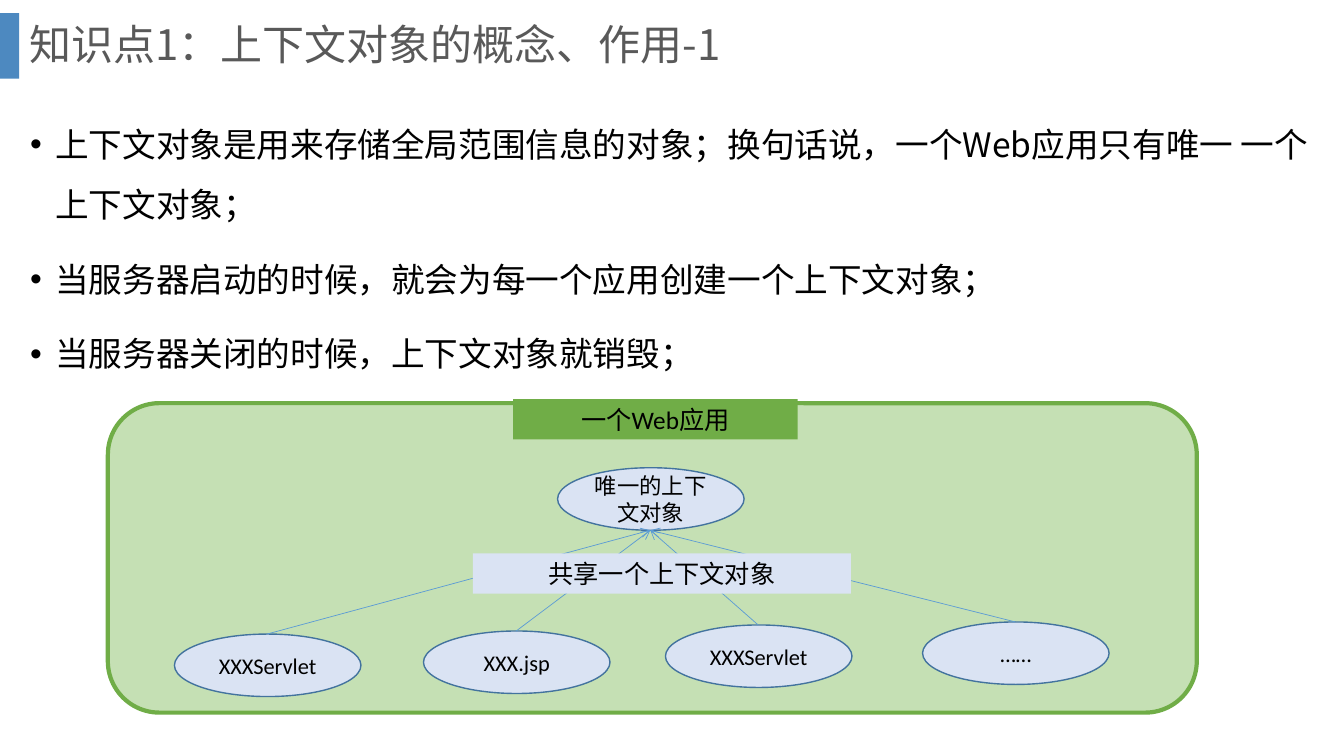
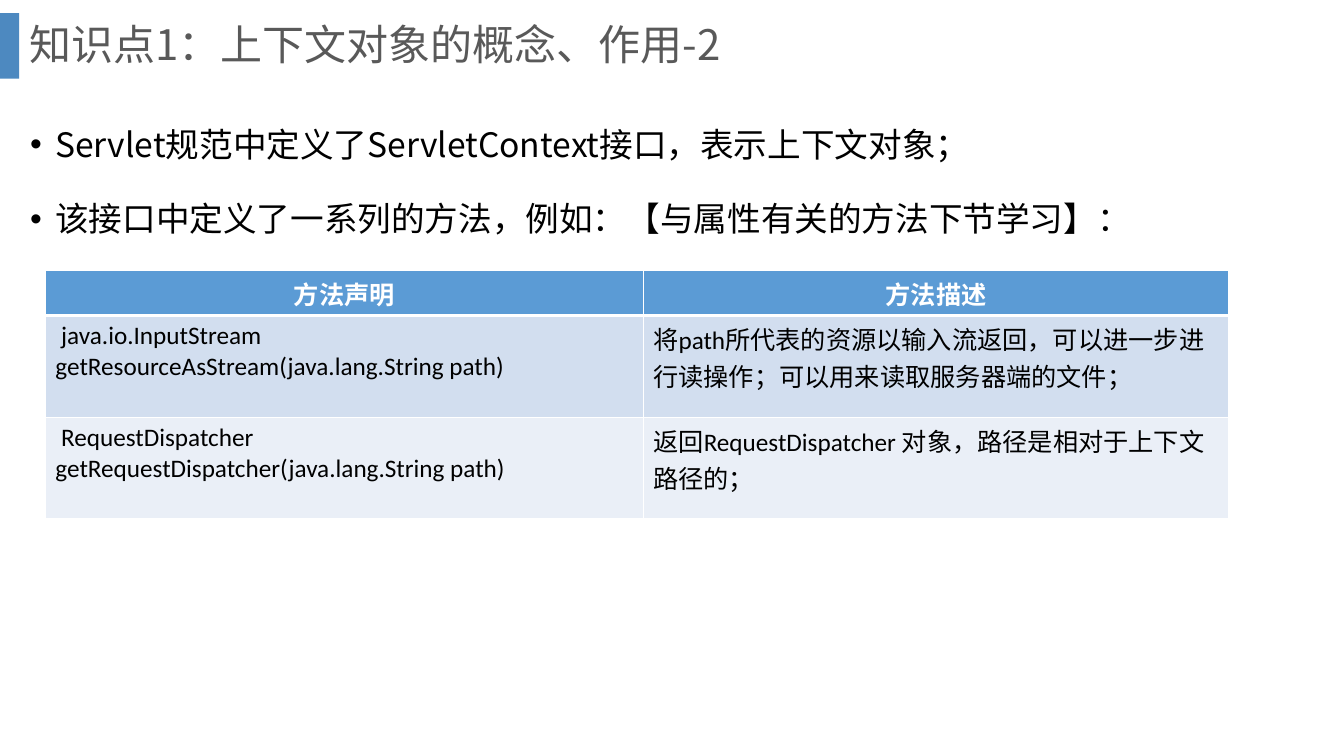
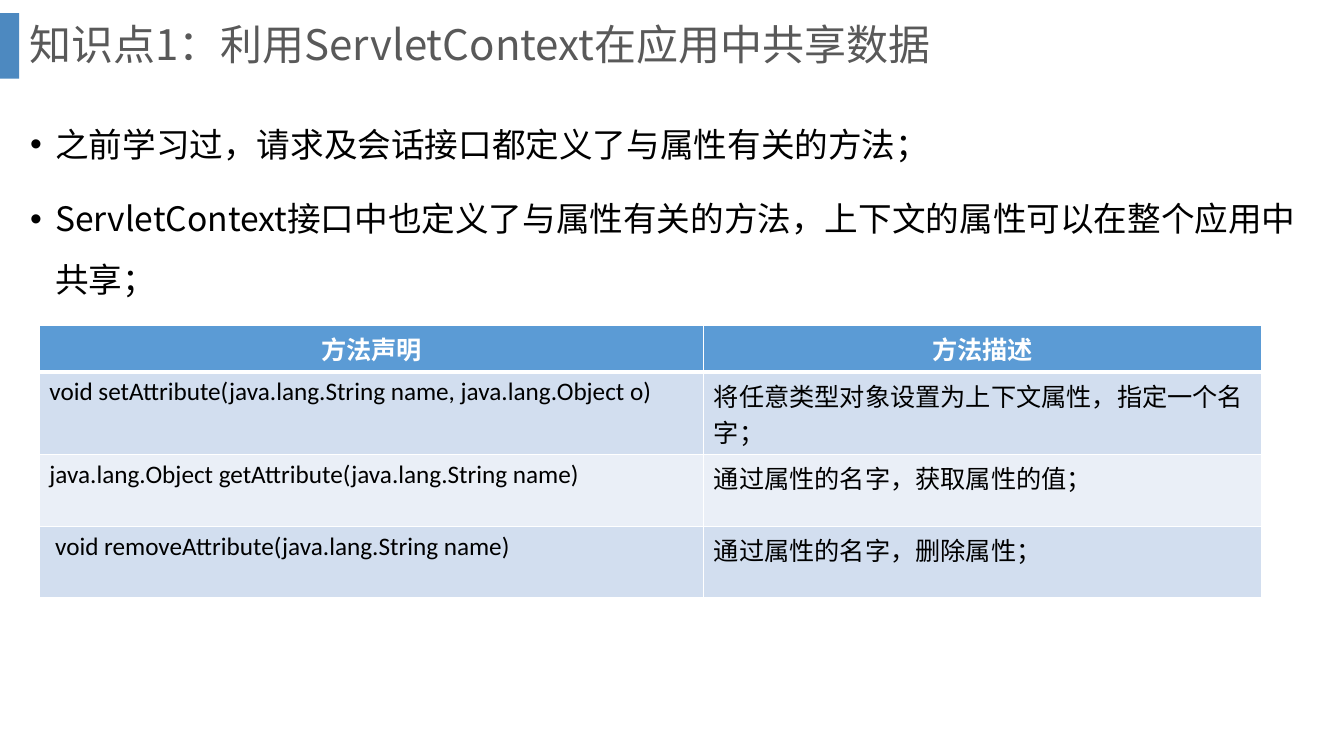
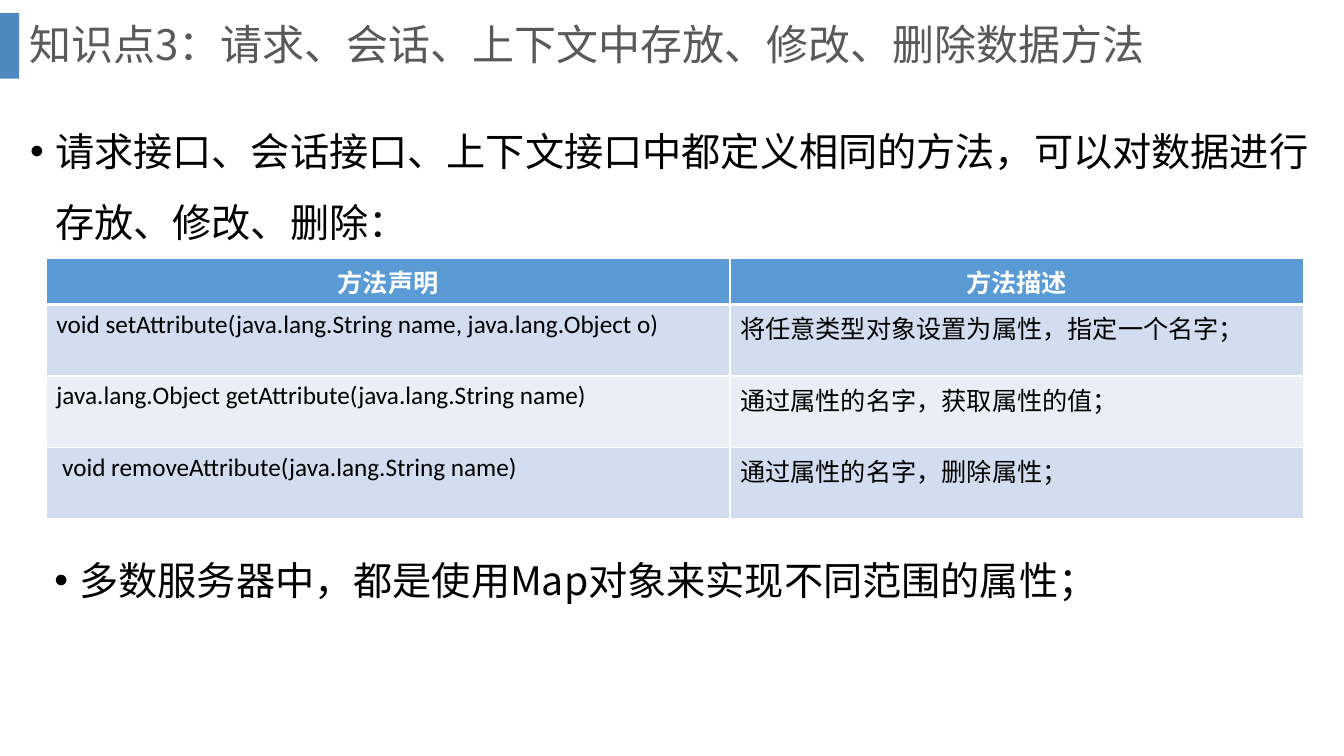
from dataclasses import dataclass

import pptx
import pptx.dml.color
import pptx.enum.dml
import pptx.enum.lang
import pptx.enum.shapes
import pptx.enum.text
import pptx.oxml
import pptx.oxml.ns
import pptx.shapes.autoshape
import pptx.slide
import pptx.text.text
import pptx.util

EMU_PER_PX = 9144  # 100 px to the inch
SHAPE = pptx.enum.shapes.MSO_SHAPE
ALIGN = pptx.enum.text.PP_ALIGN
ANCHOR = pptx.enum.text.MSO_ANCHOR
qn = pptx.oxml.ns.qn


@dataclass(frozen=True)
class Theme:
    cjk_font: str = "Noto Sans CJK SC"
    latin_font: str = "Calibri"
    text: str = "000000"
    title: str = "595959"
    white: str = "FFFFFF"
    band: str = "2E75B6"
    band_alpha: int = 85
    app_fill: str = "C5E0B4"
    app_line: str = "70AD47"
    node_fill: str = "DAE3F3"
    node_line: str = "43739E"
    accent: str = "5B9BD5"
    odd_row: str = "D2DEEF"
    even_row: str = "EAEFF7"
    title_size: int = 30
    body_size: int = 24
    large_body_size: int = 28
    label_size: int = 18
    node_size: int = 16


THEME = Theme()


@dataclass(frozen=True)
class Box:
    left: int
    top: int
    width: int
    height: int

    @property
    def center(self) -> int:
        return self.left + self.width // 2

    @property
    def bottom(self) -> int:
        return self.top + self.height

    def emu(self) -> tuple[int, ...]:
        return tuple(px(n) for n in (self.left, self.top, self.width, self.height))


@dataclass(frozen=True)
class Node:
    label: str
    left: int
    top: int

    @property
    def box(self) -> Box:
        return Box(self.left, self.top, 185, 62)


@dataclass(frozen=True)
class MethodTable:
    left: int
    top: int
    columns: tuple[int, int]
    row_heights: tuple[int, ...]
    methods: tuple[tuple[str, str], ...]


def px(length: int) -> pptx.util.Emu:
    return pptx.util.Emu(length * EMU_PER_PX)


def rgb(color: str) -> pptx.dml.color.RGBColor:
    return pptx.dml.color.RGBColor.from_string(color)


def xml(markup: str):
    """Parse one drawing element, written with the a: prefix."""
    tag, rest = markup[:-2].split(" ", 1) if " " in markup else (markup[:-2], "")
    return pptx.oxml.parse_xml(f"{tag} {pptx.oxml.ns.nsdecls('a')} {rest}/>")


def write(
    frame: pptx.text.text.TextFrame,
    *paragraphs: str,
    size: int,
    font: str = THEME.latin_font,
    color: str = THEME.text,
    bold: bool = False,
    align: ALIGN = ALIGN.LEFT,
    anchor: ANCHOR = ANCHOR.TOP,
    line_spacing: float = 1.0,
    space_before: int = 0,
    bullet: bool = False,
) -> None:
    frame.word_wrap = True
    frame.vertical_anchor = anchor
    for index, text in enumerate(paragraphs):
        paragraph = frame.paragraphs[0] if index == 0 else frame.add_paragraph()
        paragraph.alignment = align
        paragraph.line_spacing = line_spacing
        paragraph.space_before = pptx.util.Pt(space_before)
        if bullet:
            properties = paragraph._p.get_or_add_pPr()
            properties.set("marL", str(px(25)))
            properties.set("indent", str(px(-25)))
            properties.append(xml('<a:buFont typeface="Arial"/>'))
            properties.append(xml('<a:buChar char="•"/>'))
        run = paragraph.add_run()
        run.text = text
        run.font.size = pptx.util.Pt(size)
        run.font.bold = bold
        run.font.color.rgb = rgb(color)
        run.font.name = font
        run.font.language_id = pptx.enum.lang.MSO_LANGUAGE_ID.SIMPLIFIED_CHINESE
        latin = run._r.rPr.find(qn("a:latin"))
        latin.addnext(xml(f'<a:ea typeface="{THEME.cjk_font}"/>'))


def add_block(
    slide: pptx.slide.Slide,
    kind: SHAPE,
    box: Box,
    fill: str,
    line: str | None = None,
    line_width: int = 1,
) -> pptx.shapes.autoshape.Shape:
    block = slide.shapes.add_shape(kind, *box.emu())
    block.shadow.inherit = False
    block.fill.solid()
    block.fill.fore_color.rgb = rgb(fill)
    if line:
        block.line.color.rgb = rgb(line)
        block.line.width = pptx.util.Pt(line_width)
    else:
        block.line.fill.background()
    return block


def add_titled_slide(
    deck: pptx.presentation.Presentation, title: str, title_width: int = 1266
) -> pptx.slide.Slide:
    slide = deck.slides.add_slide(deck.slide_layouts.get_by_name("Title Only"))
    band = add_block(slide, SHAPE.RECTANGLE, Box(0, 13, 19, 65), THEME.band)
    band_color = band._element.spPr.find(qn("a:solidFill"))[0]
    band_color.append(xml(f'<a:alpha val="{THEME.band_alpha * 1000}"/>'))

    heading = slide.shapes.title
    heading.left, heading.top, heading.width, heading.height = Box(
        19, 0, title_width, 93
    ).emu()
    heading.text_frame.auto_size = pptx.enum.text.MSO_AUTO_SIZE.NONE
    write(heading.text_frame, title, size=THEME.title_size, font=THEME.cjk_font,
          color=THEME.title, anchor=ANCHOR.MIDDLE, line_spacing=0.9)
    return slide


def add_bullets(
    slide: pptx.slide.Slide, box: Box, *points: str, size: int = THEME.body_size
) -> None:
    body = slide.shapes.add_textbox(*box.emu())
    write(body.text_frame, *points, size=size, font=THEME.cjk_font,
          line_spacing=1.5, space_before=10, bullet=True)


def add_label(slide: pptx.slide.Slide, box: Box, text: str, fill: str) -> None:
    label = add_block(slide, SHAPE.RECTANGLE, box, fill)
    write(label.text_frame, text, size=THEME.label_size, align=ALIGN.CENTER)


def add_node(slide: pptx.slide.Slide, node: Node) -> None:
    ellipse = add_block(slide, SHAPE.OVAL, node.box, THEME.node_fill, THEME.node_line)
    write(ellipse.text_frame, node.label, size=THEME.node_size,
          align=ALIGN.CENTER, anchor=ANCHOR.MIDDLE)


def add_arrow(slide: pptx.slide.Slide, source: Box, target: Box) -> None:
    """Point from the top of source to the bottom of target."""
    arrow = slide.shapes.add_connector(
        pptx.enum.shapes.MSO_CONNECTOR.STRAIGHT,
        px(source.center), px(source.top), px(target.center), px(target.bottom),
    )
    arrow.line.color.rgb = rgb(THEME.accent)
    arrow.line.width = pptx.util.Pt(0.5)
    arrow.line._get_or_add_ln().append(xml('<a:tailEnd type="arrow"/>'))
    arrow._element.spPr.append(xml("<a:effectLst/>"))


def add_cell_borders(cell, row: int) -> None:
    """White rules, the one below the header three times as wide."""
    widths = {"lnL": 1, "lnR": 1, "lnT": 3 if row == 1 else 1, "lnB": 3 if row == 0 else 1}
    properties = cell._tc.get_or_add_tcPr()
    for edge, width in widths.items():
        border = xml(f'<a:{edge} w="{pptx.util.Pt(width)}"/>')
        fill = xml("<a:solidFill/>")
        fill.append(xml(f'<a:srgbClr val="{THEME.white}"/>'))
        border.append(fill)
        properties.append(border)


def add_method_table(slide: pptx.slide.Slide, spec_table: MethodTable) -> None:
    rows = (("方法声明", "方法描述"), *spec_table.methods)
    box = Box(spec_table.left, spec_table.top,
              sum(spec_table.columns), sum(spec_table.row_heights))
    table = slide.shapes.add_table(len(rows), 2, *box.emu()).table
    for column, width in zip(table.columns, spec_table.columns):
        column.width = px(width)
    for index, (texts, height) in enumerate(zip(rows, spec_table.row_heights)):
        table.rows[index].height = px(height)
        header = index == 0
        fill = THEME.accent if header else THEME.odd_row if index % 2 else THEME.even_row
        for cell, text in zip(table.rows[index].cells, texts):
            add_cell_borders(cell, index)
            cell.fill.solid()
            cell.fill.fore_color.rgb = rgb(fill)
            write(cell.text_frame, text, size=THEME.label_size, bold=header,
                  color=THEME.white if header else THEME.text,
                  align=ALIGN.CENTER if header else ALIGN.LEFT)


def attribute_methods(set_description: str) -> tuple[tuple[str, str], ...]:
    return (
        ("void setAttribute(java.lang.String name, java.lang.Object o)", set_description),
        ("java.lang.Object getAttribute(java.lang.String name)",
         "通过属性的名字，获取属性的值；"),
        (" void removeAttribute(java.lang.String name)", "通过属性的名字，删除属性；"),
    )


def build_concept(deck: pptx.presentation.Presentation) -> None:
    slide = add_titled_slide(deck, "知识点1：上下文对象的概念、作用-1")
    add_bullets(
        slide, Box(20, 98, 1290, 329),
        "上下文对象是用来存储全局范围信息的对象；换句话说，一个Web应用只有唯一 一个上下文对象；",
        "当服务器启动的时候，就会为每一个应用创建一个上下文对象；",
        "当服务器关闭的时候，上下文对象就销毁；",
    )
    add_block(slide, SHAPE.ROUNDED_RECTANGLE, Box(107, 400, 1080, 307),
              THEME.app_fill, THEME.app_line, line_width=3)
    add_label(slide, Box(509, 396, 282, 40), "一个Web应用", THEME.app_line)
    context = Node("唯一的上下文对象", 553, 464)
    components = (
        Node("XXXServlet", 173, 629),
        Node("XXX.jsp", 420, 626),
        Node("XXXServlet", 660, 620),
        Node("……", 915, 617),
    )
    for node in (context, *components):
        add_node(slide, node)
    for component in components:
        add_arrow(slide, component.box, context.box)
    add_label(slide, Box(469, 549, 375, 40), "共享一个上下文对象", THEME.node_fill)


def build_interface(deck: pptx.presentation.Presentation) -> None:
    slide = add_titled_slide(deck, "知识点1：上下文对象的概念、作用-2")
    add_bullets(
        slide, Box(20, 98, 1290, 329),
        "Servlet规范中定义了ServletContext接口，表示上下文对象；",
        "该接口中定义了一系列的方法，例如：【与属性有关的方法下节学习】：",
    )
    add_method_table(slide, MethodTable(45, 268, (593, 581), (45, 101, 101), (
        (" java.io.InputStream getResourceAsStream(java.lang.String path)",
         "将path所代表的资源以输入流返回，可以进一步进行读操作；可以用来读取服务器端的文件；"),
        (" RequestDispatcher getRequestDispatcher(java.lang.String path)",
         "返回RequestDispatcher 对象，路径是相对于上下文路径的；"),
    )))


def build_sharing(deck: pptx.presentation.Presentation) -> None:
    slide = add_titled_slide(deck, "知识点1：利用ServletContext在应用中共享数据")
    add_bullets(
        slide, Box(20, 98, 1290, 243),
        "之前学习过，请求及会话接口都定义了与属性有关的方法；",
        "ServletContext接口中也定义了与属性有关的方法，上下文的属性可以在整个应用中共享；",
    )
    add_method_table(slide, MethodTable(
        39, 323, (659, 553), (46, 82, 71, 71),
        attribute_methods("将任意类型对象设置为上下文属性，指定一个名字；"),
    ))


def build_attributes(deck: pptx.presentation.Presentation) -> None:
    slide = add_titled_slide(
        deck, "知识点3：请求、会话、上下文中存放、修改、删除数据方法", title_width=1314
    )
    add_bullets(
        slide, Box(20, 98, 1290, 174),
        "请求接口、会话接口、上下文接口中都定义相同的方法，可以对数据进行存放、修改、删除：",
        size=THEME.large_body_size,
    )
    add_method_table(slide, MethodTable(
        46, 256, (678, 569), (46, 71, 71, 71),
        attribute_methods("将任意类型对象设置为属性，指定一个名字；"),
    ))
    add_bullets(
        slide, Box(44, 524, 1289, 174),
        "多数服务器中，都是使用Map对象来实现不同范围的属性；",
        size=THEME.large_body_size,
    )


def main() -> None:
    deck = pptx.Presentation()
    deck.slide_width, deck.slide_height = px(1333), px(750)
    for build in (build_concept, build_interface, build_sharing, build_attributes):
        build(deck)
    deck.save("out.pptx")


if __name__ == "__main__":
    main()
